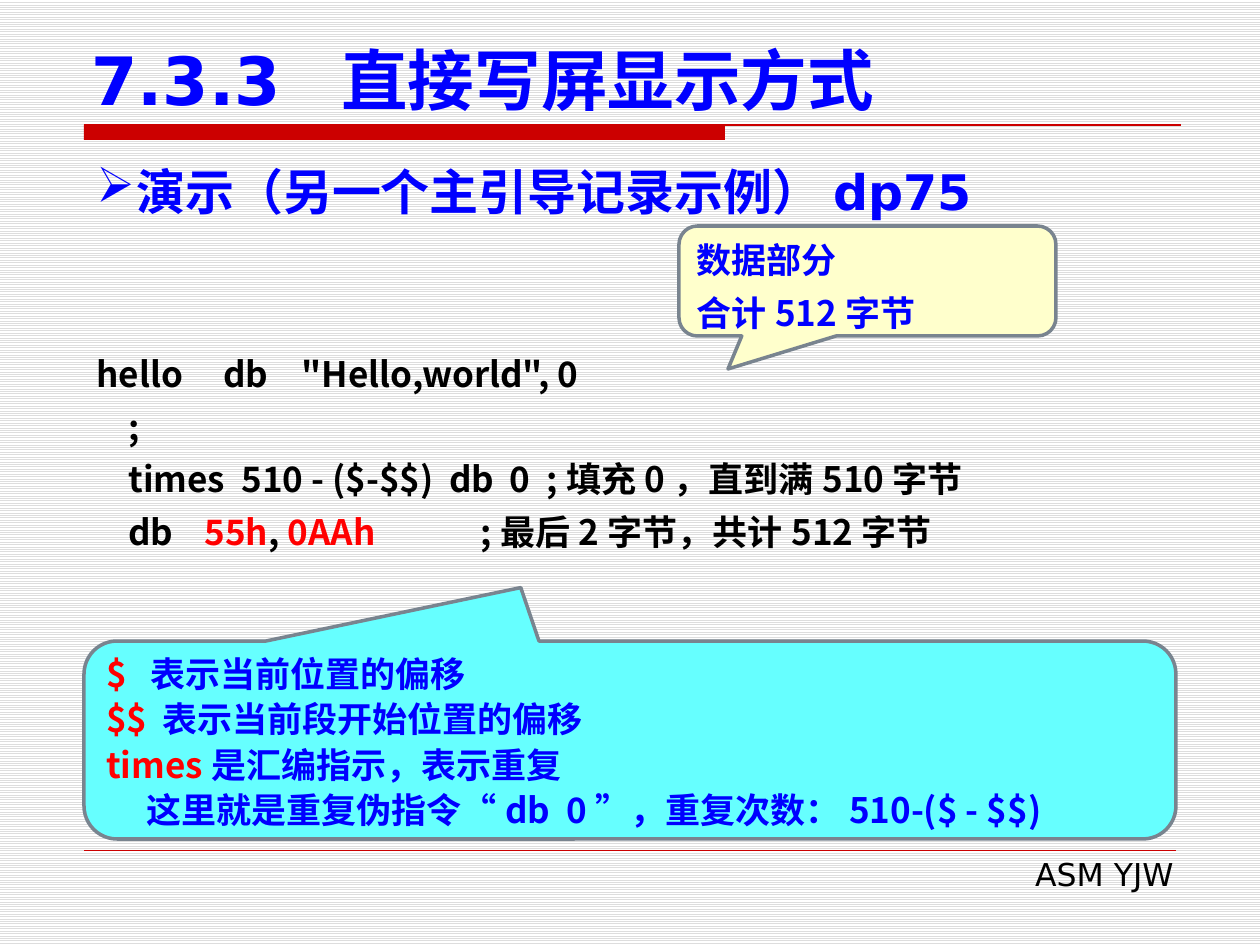
from lxml.etree import SubElement
from pptx import Presentation
from pptx.dml.color import RGBColor
from pptx.enum.dml import MSO_PATTERN
from pptx.enum.shapes import MSO_CONNECTOR, MSO_SHAPE
from pptx.enum.text import MSO_ANCHOR as Anchor, PP_ALIGN as Align
from pptx.oxml.ns import qn
from pptx.util import Pt

SCALE = 914400 / 126
BLUE = RGBColor(0x00, 0x00, 0xFF)
RED = RGBColor(0xFF, 0x00, 0x00)
BLACK = RGBColor(0x00, 0x00, 0x00)
WHITE = RGBColor(0xFF, 0xFF, 0xFF)
STRIPE = RGBColor(0xDD, 0xDD, 0xDD)
RULE = RGBColor(0xCC, 0x00, 0x00)
OUTLINE = RGBColor(0x79, 0x84, 0x8F)
CYAN = RGBColor(0x66, 0xFF, 0xFF)
CREAM = RGBColor(0xFF, 0xFF, 0xCC)
SANS = "DejaVu Sans"
CJK = "Noto Sans CJK SC"


def px(value):
    return round(value * SCALE)


def emu(box):
    return [px(value) for value in box]


def add_span(para, text, color, size, font, bold):
    span = para.add_run()
    span.text = text
    span.font.size = Pt(size)
    span.font.bold = bold
    span.font.name = font
    span.font.color.rgb = color
    SubElement(span._r.get_or_add_rPr(), qn("a:ea")).set("typeface", CJK)


def fill_text(frame, lines, size=20, font=CJK, bold=True, spacing=None,
              anchor=Anchor.TOP, align=Align.LEFT):
    frame.word_wrap = True
    frame.vertical_anchor = anchor
    for index, (tabs, spans) in enumerate(lines):
        para = frame.add_paragraph() if index else frame.paragraphs[0]
        para.alignment = align
        if spacing:
            para.line_spacing = Pt(spacing)
        if tabs:
            stops = SubElement(para._p.get_or_add_pPr(), qn("a:tabLst"))
            for stop in tabs:
                SubElement(stops, qn("a:tab"), pos=str(px(stop)), algn="l")
        for text, color in spans:
            add_span(para, text, color, size, font, bold)


def add_text(page, box, lines, **style):
    frame = page.shapes.add_textbox(*emu(box)).text_frame
    fill_text(frame, lines, **style)
    return frame


def add_rule(page, left, top, right, width):
    line = page.shapes.add_connector(
        MSO_CONNECTOR.STRAIGHT, px(left), px(top), px(right), px(top))
    line.line.color.rgb = RULE
    line.line.width = Pt(width)
    SubElement(line._element.spPr, qn("a:effectLst"))


def add_title(page, box):
    left, top, width, height = box
    bar = page.shapes.add_shape(
        MSO_SHAPE.RECTANGLE, *emu((left + 5, top + height, 641, 15)))
    bar.shadow.inherit = False
    bar.fill.solid()
    bar.fill.fore_color.rgb = RULE
    bar.line.fill.background()
    add_rule(page, left + 5, top + height, left + width, 0.75)
    add_text(page, box, [([250], [("7.3.3\t直接写屏显示方式", BLUE)])],
             size=38, font=SANS, anchor=Anchor.BOTTOM)


def add_heading(page, box):
    lines = [([], [("演示（另一个主引导记录示例）dp75", BLUE)])]
    frame = add_text(page, box, lines, size=28, font=SANS, align=Align.JUSTIFY)
    props = frame.paragraphs[0]._p.get_or_add_pPr()
    props.set("marL", str(px(40)))
    props.set("indent", str(px(-40)))
    SubElement(props, qn("a:buChar")).set("char", "➢")


def add_code(page, box):
    add_text(page, box, [
        ([127, 205], [('hello\tdb\t"Hello,world", 0', BLACK)]),
        ([32], [("\t;", BLACK)]),
        ([32, 145, 353, 413, 450],
         [("\ttimes\t510 - ($-$$)\tdb\t0\t;填充0，直到满510字节", BLACK)]),
        ([32, 108, 384],
         [("\tdb\t", BLACK), ("55h", RED), (", ", BLACK), ("0AAh", RED),
          ("\t;最后2字节，共计512字节", BLACK)]),
    ], spacing=30)


def add_callout(page, box, color, tip, lines, spacing):
    callout = page.shapes.add_shape(
        MSO_SHAPE.ROUNDED_RECTANGULAR_CALLOUT, *emu(box))
    callout.shadow.inherit = False
    callout.adjustments[0], callout.adjustments[1] = tip
    callout.adjustments[2] = 0.167
    callout.fill.solid()
    callout.fill.fore_color.rgb = color
    callout.line.color.rgb = OUTLINE
    callout.line.width = Pt(2)
    fill_text(callout.text_frame, lines, spacing=spacing, anchor=Anchor.MIDDLE)


def add_footer(page, box):
    left, top, width, height = box
    add_rule(page, left, top, left + width, 0.25)
    add_text(page, (left + 397, top - 1, 705, height),
             [([], [("ASM YJW", BLACK)])],
             size=18, font=SANS, bold=False, align=Align.RIGHT)


deck = Presentation()
deck.slide_width, deck.slide_height = px(1260), px(945)
page = deck.slides.add_slide(deck.slide_layouts[6])
background = page.background.fill
background.patterned()
background.pattern = MSO_PATTERN.LIGHT_HORIZONTAL
background.fore_color.rgb = STRIPE
background.back_color.rgb = WHITE

add_footer(page, (84, 850, 1092, 50))
add_heading(page, (84, 155, 1092, 72))
add_title(page, (79, 42, 1102, 83))
add_code(page, (84, 336, 1092, 224))
add_callout(page, (84, 641, 1092, 198), CYAN, (-0.1, -0.77), [
    ([44], [("$\t", RED), ("表示当前位置的偏移", BLUE)]),
    ([56], [("$$\t", RED), ("表示当前段开始位置的偏移", BLUE)]),
    ([], [("times", RED), ("是汇编指示，表示重复", BLUE)]),
    ([40, 460],
     [("\t这里就是重复伪指令“db\t0”，重复次数：510-($ - $$)", BLUE)]),
], 26)
add_callout(page, (679, 226, 377, 110), CREAM, (-0.37, 0.8), [
    ([], [("数据部分", BLUE)]),
    ([], [("合计512字节", BLUE)]),
], 30)
deck.save("out.pptx")
